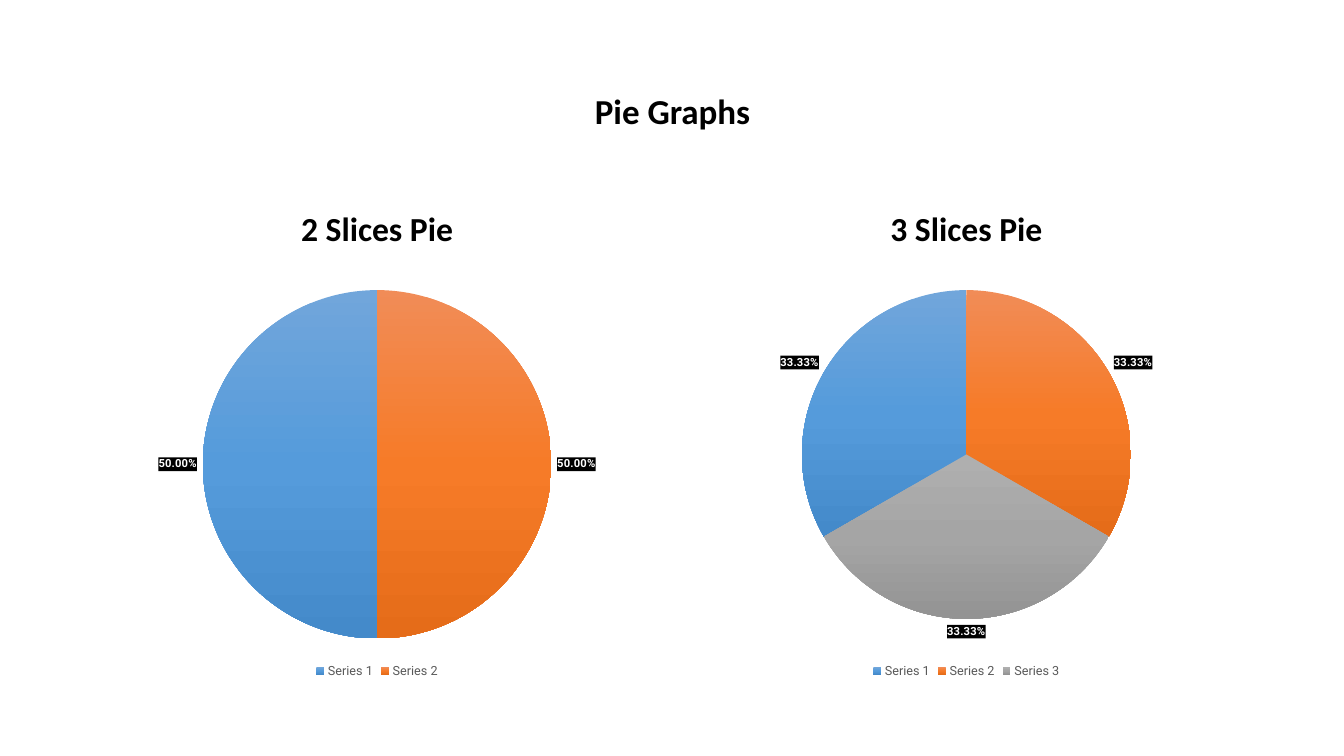
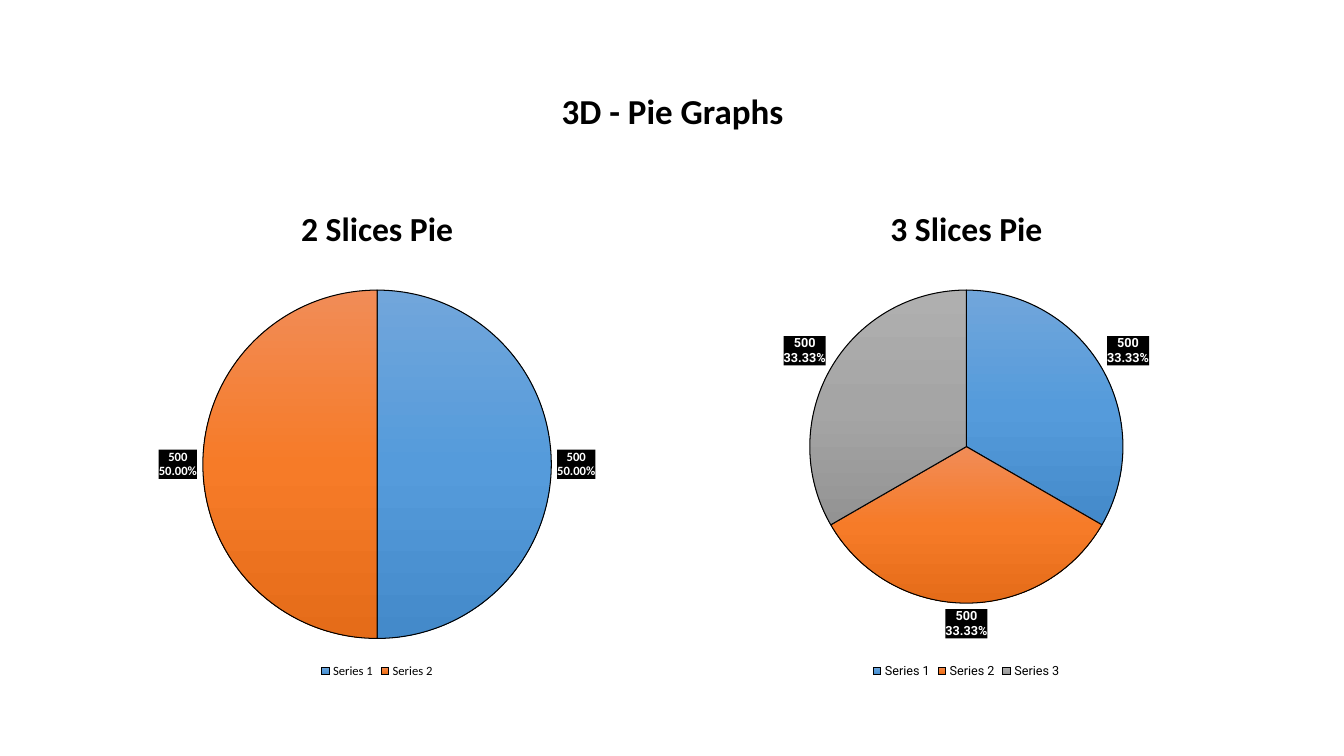
from lxml import etree
from pptx import Presentation
from pptx import util as u
from pptx.chart import data
from pptx.dml import color
from pptx.enum import chart as ec, text
from pptx.oxml import ns, parse_xml

WIDE, HIGH = 13.33, 7.5
LEFT, SPAN = 0.92, 11.5
COLS = [(LEFT, 5.64), (6.75, 5.67)]
ROWS = {"title": (0.4, 1.45), "head": (1.84, 0.9), "chart": (2.74, 4.03)}
INK, PAPER, GREY = "000000", "FFFFFF", "595959"
FADES = [
    ("71A6DB", "559BDB", "448ACA"),
    ("F18C57", "F67B28", "E56C19"),
    ("AFAFAF", "A5A5A5", "939393"),
]


def rgb(code):
    return color.RGBColor.from_string(code)


def put(item, traits):
    for key, value in traits.items():
        setattr(item, key, value)


def style(font, name, size, tint, bold=False):
    put(font, {"name": name, "size": u.Pt(size), "bold": bold})
    font.color.rgb = rgb(tint)


def area(col, row):
    (left, width), (top, height) = col, ROWS[row]
    return [u.Inches(n) for n in (left, top, width, height)]


def label(slide, box, words, size, before=0):
    frame = slide.shapes.add_textbox(*box).text_frame
    put(frame, {"word_wrap": True, "vertical_anchor": text.MSO_ANCHOR.MIDDLE})
    para = frame.paragraphs[0]
    put(para, {"text": words, "alignment": text.PP_ALIGN.CENTER,
               "line_spacing": 0.9, "space_before": u.Pt(before)})
    style(para.runs[0].font, "Calibri", size, INK, True)


def fade(tints):
    stops = "".join(
        f'<a:gs pos="{pos}"><a:srgbClr val="{tint}"/></a:gs>'
        for pos, tint in zip((0, 50000, 100000), tints))
    return parse_xml(
        f'<a:gradFill {ns.nsdecls("a")} rotWithShape="1"><a:gsLst>{stops}</a:gsLst>'
        '<a:lin ang="5400000" scaled="0"/></a:gradFill>')


def slices(chart, count, edge):
    points = chart.plots[0].series[0].points
    for spot in range(count):
        form = points[spot].format
        form.fill.gradient()
        if edge:
            form.line.color.rgb = rgb(INK)
            form.line.width = u.Pt(0.75)
        else:
            form.line.fill.background()
    for old, tints in zip(chart.element.xpath(".//c:dPt//a:gradFill"), FADES):
        old.getparent().replace(old, fade(tints))


def tags(chart, look):
    marks = chart.plots[0].series[0].data_labels
    put(marks, {"show_value": look["count"], "show_percentage": True,
                "number_format": "0.00%", "number_format_is_linked": False,
                "position": ec.XL_LABEL_POSITION.OUTSIDE_END})
    style(marks.font, look["font"], look["size"], PAPER, True)
    root = chart.element
    root.xpath(".//c:ser/c:dLbls/c:numFmt")[0].addnext(parse_xml(
        f'<c:spPr {ns.nsdecls("c", "a")}><a:solidFill><a:srgbClr val="{INK}"/>'
        '</a:solidFill><a:ln><a:noFill/></a:ln></c:spPr>'))
    if look["count"]:
        split = etree.Element(ns.qn("c:separator"))
        split.text = "\n"
        root.xpath(".//c:ser/c:dLbls/c:showBubbleSize")[0].addnext(split)


def pie(slide, box, vals, look):
    source = data.CategoryChartData()
    source.categories = [f"Series {n + 1}" for n in range(len(vals))]
    source.add_series("Series 1", vals)
    chart = slide.shapes.add_chart(ec.XL_CHART_TYPE.PIE, *box, source).chart
    put(chart, {"has_title": False, "has_legend": True})
    style(chart.font, look["font"], 9, INK)
    put(chart.legend, {"position": ec.XL_LEGEND_POSITION.BOTTOM,
                       "include_in_layout": False})
    style(chart.legend.font, look["font"], 9, look["key"])
    chart.plots[0].vary_by_categories = True
    slices(chart, len(vals), look["edge"])
    tags(chart, look)
    plot = chart.element.xpath(".//c:pieChart")[0]
    for old in plot.xpath("c:firstSliceAng"):
        plot.remove(old)
    turn = etree.SubElement(plot, ns.qn("c:firstSliceAng"))
    turn.set("val", str(look["start"]))


def page(deck, title, look, pies):
    slide = deck.slides.add_slide(deck.slide_layouts[6])
    label(slide, area((LEFT, SPAN), "title"), title, 25)
    for col, (vals, font, start) in zip(COLS, pies):
        label(slide, area(col, "head"), f"{len(vals)} Slices Pie", 24, 10)
        pie(slide, area(col, "chart"), vals, {**look, "font": font, "start": start})


def main():
    deck = Presentation()
    put(deck, {"slide_width": u.Inches(WIDE), "slide_height": u.Inches(HIGH)})
    flat = {"count": False, "edge": False, "size": 8, "key": GREY}
    deep = {"count": True, "edge": True, "size": 9, "key": INK}
    page(deck, "Pie Graphs", flat,
         [([50] * 2, "Roboto", 180), ([33.33] * 3, "Roboto", 240)])
    page(deck, "3D - Pie Graphs", deep,
         [([500] * 2, "Calibri", 0), ([500] * 3, "Roboto", 0)])
    deck.save("out.pptx")


if __name__ == "__main__":
    main()
